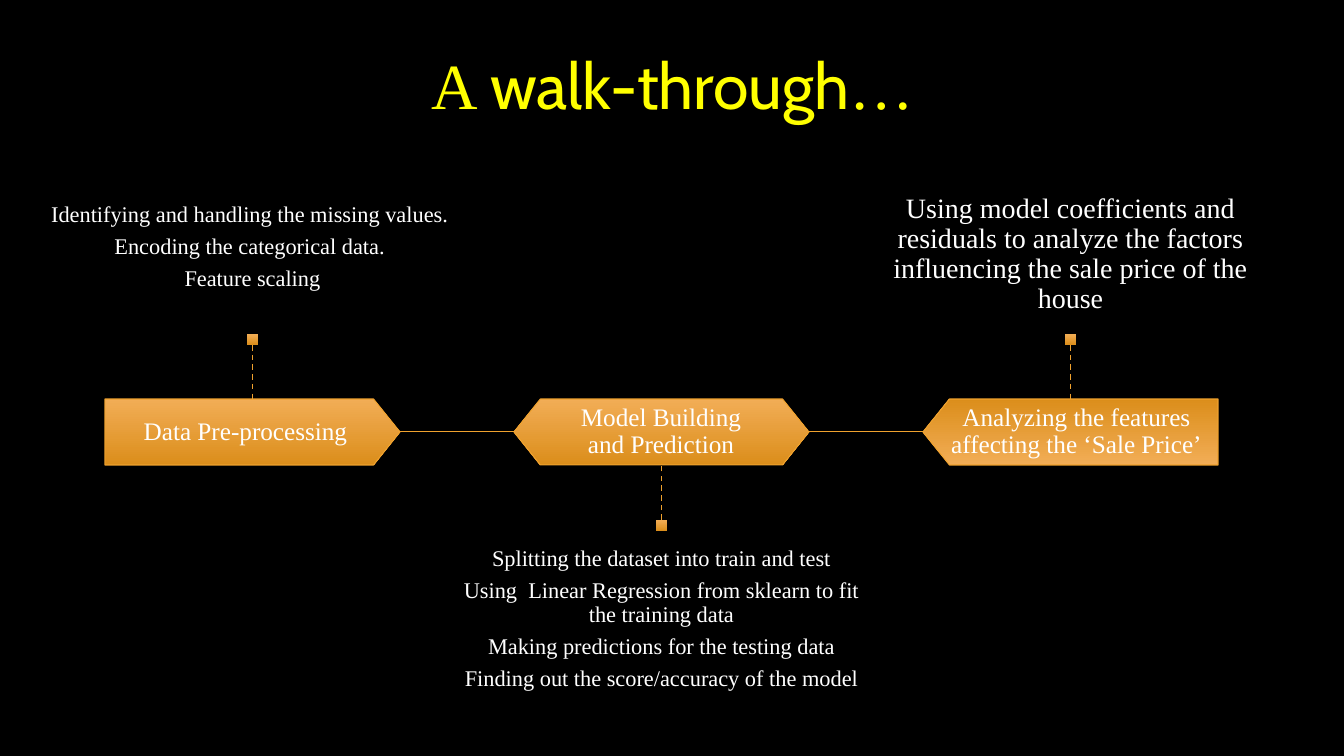
from dataclasses import dataclass
from typing import NamedTuple, Sequence

import pptx
import pptx.dml.color
import pptx.enum.dml
import pptx.enum.shapes
import pptx.enum.text
import pptx.oxml
import pptx.oxml.ns
import pptx.util

RGBColor = pptx.dml.color.RGBColor
Shapes = pptx.enum.shapes.MSO_SHAPE
Anchor = pptx.enum.text.MSO_ANCHOR

EMU_PER_PX = 914400 / 100.8
BLACK = RGBColor(0x00, 0x00, 0x00)
WHITE = RGBColor(0xFF, 0xFF, 0xFF)
YELLOW = RGBColor(0xFF, 0xFF, 0x00)
LIGHT_ORANGE = RGBColor(0xF2, 0xAD, 0x56)
DARK_ORANGE = RGBColor(0xDB, 0x8E, 0x1B)
ORANGE = RGBColor(0xF0, 0xA2, 0x2E)
SERIF = "Times New Roman"
SANS = "Cabin"

STAGE_LEFT, STAGE_TOP, STAGE_PITCH = 105, 399, 409
STAGE_WIDTH, STAGE_HEIGHT = 295, 66
STAGE_MIDDLE = STAGE_TOP + STAGE_HEIGHT // 2
MARKER_SIZE = 11
DETAIL_HEIGHT = 176
UPPER_MARKER_TOP, LOWER_MARKER_TOP = 334, 520
TOP_SIDE, BOTTOM_SIDE = 0, 2


class Run(NamedTuple):
    text: str
    font: str = SERIF


class Box(NamedTuple):
    left: int
    top: int
    width: int
    height: int


class Insets(NamedTuple):
    left: int = 0
    top: int = 0
    right: int = 0
    bottom: int = 0


@dataclass(frozen=True)
class Stage:
    label: str
    details: tuple[str, ...]
    outline: Shapes
    label_offset: int
    label_width: int
    rotation: int = 0
    detail_above: bool = True
    detail_size: int = 16
    detail_insets: Insets = Insets(top=16, bottom=16)


STAGES = (
    Stage("Data Pre-processing",
          ("Identifying and handling the missing values. ",
           "Encoding the categorical data. ",
           "Feature scaling"),
          Shapes.PENTAGON, 0, 281, detail_insets=Insets(top=16, bottom=43)),
    Stage("Model Building and Prediction",
          ("Splitting the dataset into train and test",
           "Using  Linear Regression from sklearn to fit the training data",
           "Making predictions for the testing data",
           "Finding out the score/accuracy of the model"),
          Shapes.HEXAGON, 33, 228, detail_above=False),
    Stage("Analyzing the features affecting the ‘Sale Price’",
          ("Using model coefficients and residuals to analyze the factors "
           "influencing the sale price of the house",),
          Shapes.PENTAGON, 13, 281, rotation=180, detail_size=20,
          detail_insets=Insets(top=19, bottom=19)),
)


def px(length: float) -> pptx.util.Emu:
    return pptx.util.Emu(round(length * EMU_PER_PX))


def add_text(slide, box: Box, paragraphs: Sequence[Sequence[Run]], *, size: int,
             color: RGBColor = WHITE, anchor: Anchor = Anchor.MIDDLE,
             insets: Insets = Insets(), space_after: float = 0):
    """Add centred text; space_after is a share of the text size."""
    text_box = slide.shapes.add_textbox(*map(px, box))
    frame = text_box.text_frame
    frame.word_wrap = True
    frame.vertical_anchor = anchor
    frame.margin_left, frame.margin_top, frame.margin_right, frame.margin_bottom = map(px, insets)
    for index, runs in enumerate(paragraphs):
        paragraph = frame.add_paragraph() if index else frame.paragraphs[0]
        paragraph.alignment = pptx.enum.text.PP_ALIGN.CENTER
        paragraph.line_spacing = 0.9
        paragraph.space_after = pptx.util.Pt(size * space_after)
        for part in runs:
            run = paragraph.add_run()
            run.text = part.text
            run.font.name = part.font
            run.font.size = pptx.util.Pt(size)
            run.font.color.rgb = color
    return text_box


def add_orange_shape(slide, outline: Shapes, box: Box, *, outlined: bool):
    shape = slide.shapes.add_shape(outline, *map(px, box))
    shape.shadow.inherit = False
    shape.fill.gradient()
    shape.fill.gradient_angle = 270
    for stop, color in zip(shape.fill.gradient_stops, (LIGHT_ORANGE, DARK_ORANGE)):
        stop.color.rgb = color
    if outlined:
        shape.line.color.rgb = ORANGE
        shape.line.width = pptx.util.Pt(0.75)
    else:
        shape.line.fill.background()
    return shape


def add_line(slide, start: tuple[float, float], end: tuple[float, float], *,
             width: float, dashed: bool = False):
    line = slide.shapes.add_connector(
        pptx.enum.shapes.MSO_CONNECTOR.STRAIGHT, *map(px, start + end))
    line.line.color.rgb = ORANGE
    line.line.width = pptx.util.Pt(width)
    if dashed:
        line.line.dash_style = pptx.enum.dml.MSO_LINE.DASH
    properties = line._element.spPr
    properties.append(pptx.oxml.parse_xml(
        f'<a:effectLst {pptx.oxml.ns.nsdecls("a")}/>'))
    return line


def add_stage(slide, stage: Stage, left: int) -> None:
    """Draw the arrow and its label, then the marker, stem and details."""
    arrow = add_orange_shape(slide, stage.outline,
                             Box(left, STAGE_TOP, STAGE_WIDTH, STAGE_HEIGHT), outlined=True)
    arrow.adjustments[0] = 0.4
    arrow.rotation = stage.rotation
    add_text(slide, Box(left + stage.label_offset, STAGE_TOP, stage.label_width, STAGE_HEIGHT),
             [[Run(stage.label)]], size=18, insets=Insets(left=14, right=14))

    center = left + STAGE_WIDTH / 2
    if stage.detail_above:
        marker_top, marker_side = UPPER_MARKER_TOP, BOTTOM_SIDE
        stem_start, stem_end = marker_top + MARKER_SIZE, STAGE_TOP
        detail_top, anchor = marker_top - DETAIL_HEIGHT, Anchor.BOTTOM
    else:
        marker_top, marker_side = LOWER_MARKER_TOP, TOP_SIDE
        stem_start, stem_end = marker_top, STAGE_TOP + STAGE_HEIGHT
        detail_top, anchor = marker_top + MARKER_SIZE, Anchor.TOP

    add_text(slide, Box(left - (STAGE_PITCH - STAGE_WIDTH) // 2, detail_top,
                        STAGE_PITCH, DETAIL_HEIGHT),
             [[Run(detail)] for detail in stage.details], size=stage.detail_size,
             anchor=anchor, insets=stage.detail_insets, space_after=0.35)
    stem = add_line(slide, (center, stem_start), (center, stem_end), width=1, dashed=True)
    marker = add_orange_shape(
        slide, Shapes.RECTANGLE,
        Box(left + (STAGE_WIDTH - MARKER_SIZE) // 2, marker_top, MARKER_SIZE, MARKER_SIZE),
        outlined=False)
    stem.begin_connect(marker, marker_side)


def main() -> None:
    presentation = pptx.Presentation()
    presentation.slide_width, presentation.slide_height = px(1344), px(756)
    slide = presentation.slides.add_slide(presentation.slide_layouts[6])
    slide.background.fill.solid()
    slide.background.fill.fore_color.rgb = BLACK

    add_text(slide, Box(102, 19, 1141, 139),
             [[Run("A "), Run("walk-through", SANS), Run("…")]], size=46, color=YELLOW)
    for index, stage in enumerate(STAGES):
        left = STAGE_LEFT + index * STAGE_PITCH
        if index:
            add_line(slide, (left - STAGE_PITCH + STAGE_WIDTH, STAGE_MIDDLE),
                     (left, STAGE_MIDDLE), width=0.75)
        add_stage(slide, stage, left)
    presentation.save("out.pptx")


if __name__ == "__main__":
    main()
